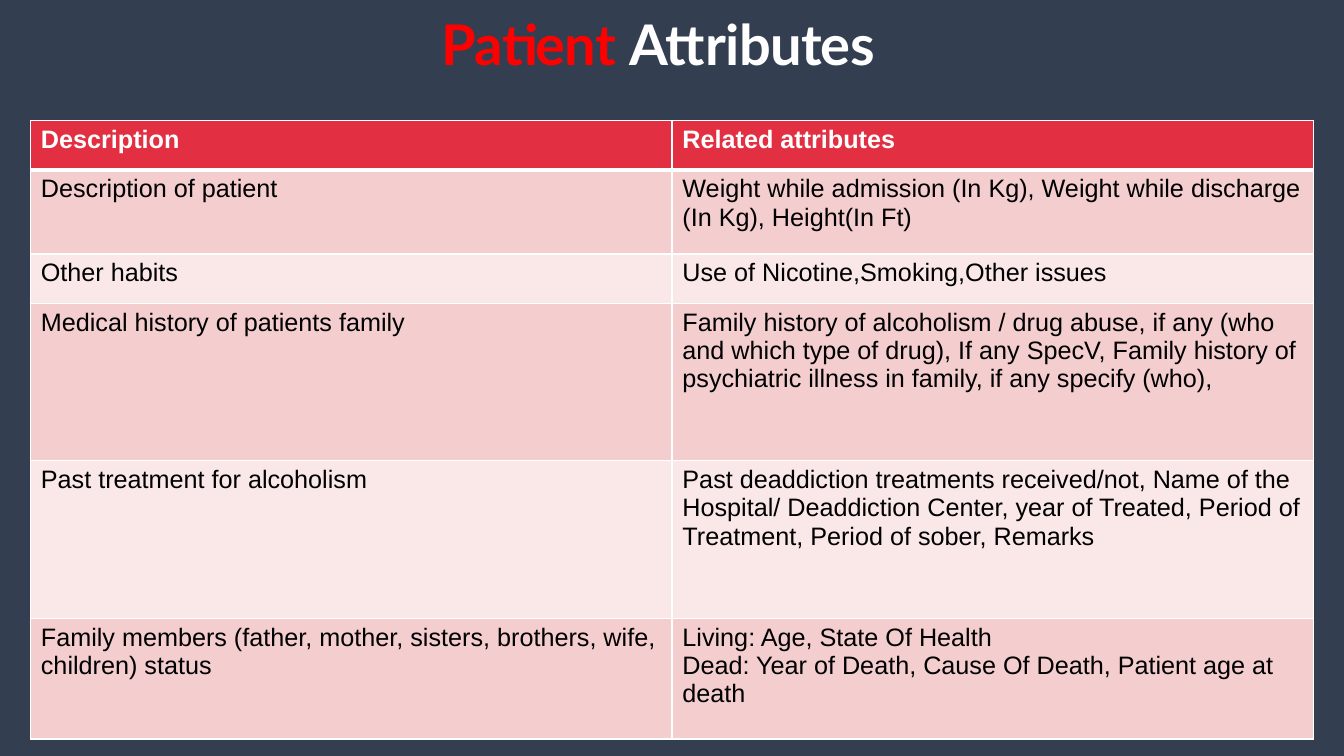
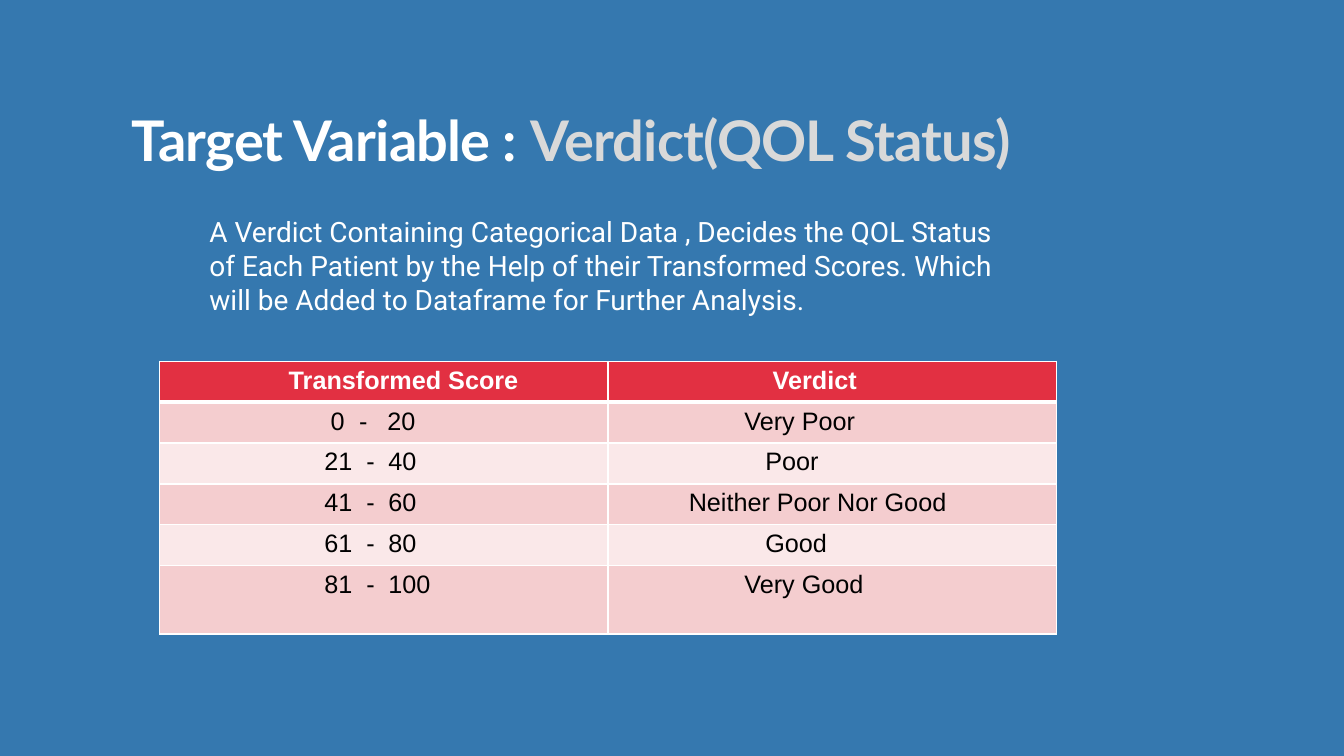
from lxml.etree import SubElement
from pptx import Presentation
from pptx.dml.color import RGBColor
from pptx.enum.text import MSO_ANCHOR as Anchor, PP_ALIGN as Align
from pptx.oxml import parse_xml
from pptx.oxml.ns import nsdecls, qn
from pptx.util import Pt

PX = 9525
CELL_INSET = 10
COLORS = {
    "slate": "333F50",
    "blue": "3578AF",
    "white": "FFFFFF",
    "red": "FF0000",
    "silver": "D9D9D9",
    "black": "000000",
    "header": "E23042",
    "odd_row": "F4CDCF",
    "even_row": "FAE8E9",
}
ATTRIBUTES = [
    ("Description", "Related attributes"),
    ("Description of patient",
     "Weight while admission (In Kg), Weight while discharge (In Kg), Height(In Ft)"),
    ("Other habits", "Use of Nicotine,Smoking,Other issues"),
    ("Medical history of patients family",
     "Family history of alcoholism / drug abuse, if any (who and which type of drug), "
     "If any SpecV, Family history of psychiatric illness in family, if any specify (who),"),
    ("Past treatment for alcoholism",
     "Past deaddiction treatments received/not, Name of the Hospital/ Deaddiction Center, "
     "year of Treated, Period of Treatment, Period of sober, Remarks"),
    ("Family members (father, mother, sisters, brothers, wife, children) status",
     "Living: Age, State Of Health\n"
     "Dead: Year of Death, Cause Of Death, Patient age at death"),
]
VERDICTS = [
    ("Transformed Score", "Verdict"),
    ("0\t-\t20", "Very Poor"),
    ("21\t-\t40", "Poor"),
    ("41\t-\t60", "Neither Poor Nor Good"),
    ("61\t-\t80", "Good"),
    ("81\t-\t100", "Very Good"),
]
VERDICT_INDENTS = [(113, 147), (153, 120), (147, 140), (147, 67), (147, 140), (147, 120)]
SCORE_STOPS = {153: (27, 54), 147: (40, 61)}


def color(name):
    """Return the named colour."""
    return RGBColor.from_string(COLORS[name])


def style(paragraph, face, size, tint, bold=False):
    """Set the font shared by all runs of a paragraph."""
    font = paragraph.font
    font.name, font.size, font.bold = face, Pt(size), bold
    font.color.rgb = color(tint)


def add_slide(deck, background):
    """Add a blank slide with a plain background."""
    slide = deck.slides.add_slide(deck.slide_layouts[6])
    slide.background.fill.solid()
    slide.background.fill.fore_color.rgb = color(background)
    return slide


def add_text_frame(slide, box):
    """Add a wrapping text box and return its frame."""
    frame = slide.shapes.add_textbox(*(side * PX for side in box)).text_frame
    frame.word_wrap = True
    return frame


def add_title(slide, left, top, parts):
    """Write a centred title made of (text, colour) parts."""
    frame = add_text_frame(slide, (left, top, 960, 64))
    frame.vertical_anchor = Anchor.BOTTOM
    frame.margin_left = frame.margin_top = frame.margin_right = frame.margin_bottom = 0
    heading = frame.paragraphs[0]
    heading.alignment = Align.CENTER
    style(heading, "Lato", 40, "white", True)
    for text, tint in parts:
        part = heading.add_run()
        part.text = text
        part.font.color.rgb = color(tint)
        part._r.get_or_add_rPr().set("spc", "-50")


def add_summary(slide, box, text):
    """Write the explanation under a title."""
    summary = add_text_frame(slide, box).paragraphs[0]
    summary.text = text
    style(summary, "Roboto", 20, "white")


def set_borders(cell, row):
    """Draw white cell borders, thick between header and body."""
    widths = {"L": 1, "R": 1, "T": 3 if row == 1 else 1, "B": 3 if row == 0 else 1}
    for place, (side, width) in enumerate(widths.items()):
        border = parse_xml(
            f'<a:ln{side} {nsdecls("a")} w="{Pt(width)}"><a:solidFill>'
            f'<a:srgbClr val="{COLORS["white"]}"/></a:solidFill></a:ln{side}>')
        cell._tc.get_or_add_tcPr().insert(place, border)


def set_tab_stops(paragraph, stops):
    """Set left tab stops, measured from the text's edge."""
    properties = paragraph._p.get_or_add_pPr()
    tab_list = SubElement(properties, qn("a:tabLst"))
    for stop in stops:
        SubElement(tab_list, qn("a:tab"), pos=str(stop * PX), algn="l")
    default_font = properties.find(qn("a:defRPr"))
    if default_font is not None:
        default_font.addprevious(tab_list)


def fill_cell(cell, row, text, indent):
    """Write and colour one table cell."""
    cell.fill.solid()
    band = "header" if row == 0 else "odd_row" if row % 2 else "even_row"
    cell.fill.fore_color.rgb = color(band)
    set_borders(cell, row)
    cell.margin_left = (CELL_INSET + indent) * PX
    cell.text_frame.text = text
    for paragraph in cell.text_frame.paragraphs:
        style(paragraph, "Arial", 18, "black" if row else "white", row == 0)
        if "\t" in text:
            set_tab_stops(paragraph, SCORE_STOPS[indent])


def add_banded_table(slide, left, top, column_width, heights, rows, indents=None):
    """Add a two-column table with a red header and pink bands."""
    size = (left, top, 2 * column_width, sum(heights))
    table = slide.shapes.add_table(len(rows), 2, *(side * PX for side in size)).table
    for column in table.columns:
        column.width = column_width * PX
    for row, (height, texts) in enumerate(zip(heights, rows)):
        table.rows[row].height = height * PX
        for col, text in enumerate(texts):
            fill_cell(table.cell(row, col), row, text, indents[row][col] if indents else 0)


def add_attributes_slide(deck):
    """Build the slide of patient attributes."""
    slide = add_slide(deck, "slate")
    add_title(slide, 147, 9, [("Patient ", "red"), ("Attributes", "white")])
    add_banded_table(slide, 29, 115, 611, [47, 80, 47, 150, 150, 115], ATTRIBUTES)


def add_verdict_slide(deck):
    """Build the slide of the target variable."""
    slide = add_slide(deck, "blue")
    add_title(slide, 64, 100, [("Target Variable : ", "white"), ("Verdict(QOL Status)", "silver")])
    add_banded_table(slide, 152, 344, 427, [39] * 5 + [65], VERDICTS, VERDICT_INDENTS)
    add_summary(slide, (190, 200, 778, 107),
                "A Verdict Containing Categorical Data , Decides the QOL Status of Each Patient "
                "by the Help of their Transformed Scores. Which will be Added to Dataframe for "
                "Further Analysis.")


def main():
    """Build and save the deck."""
    deck = Presentation()
    deck.slide_width, deck.slide_height = 1280 * PX, 720 * PX
    add_attributes_slide(deck)
    add_verdict_slide(deck)
    deck.save("out.pptx")


if __name__ == "__main__":
    main()
